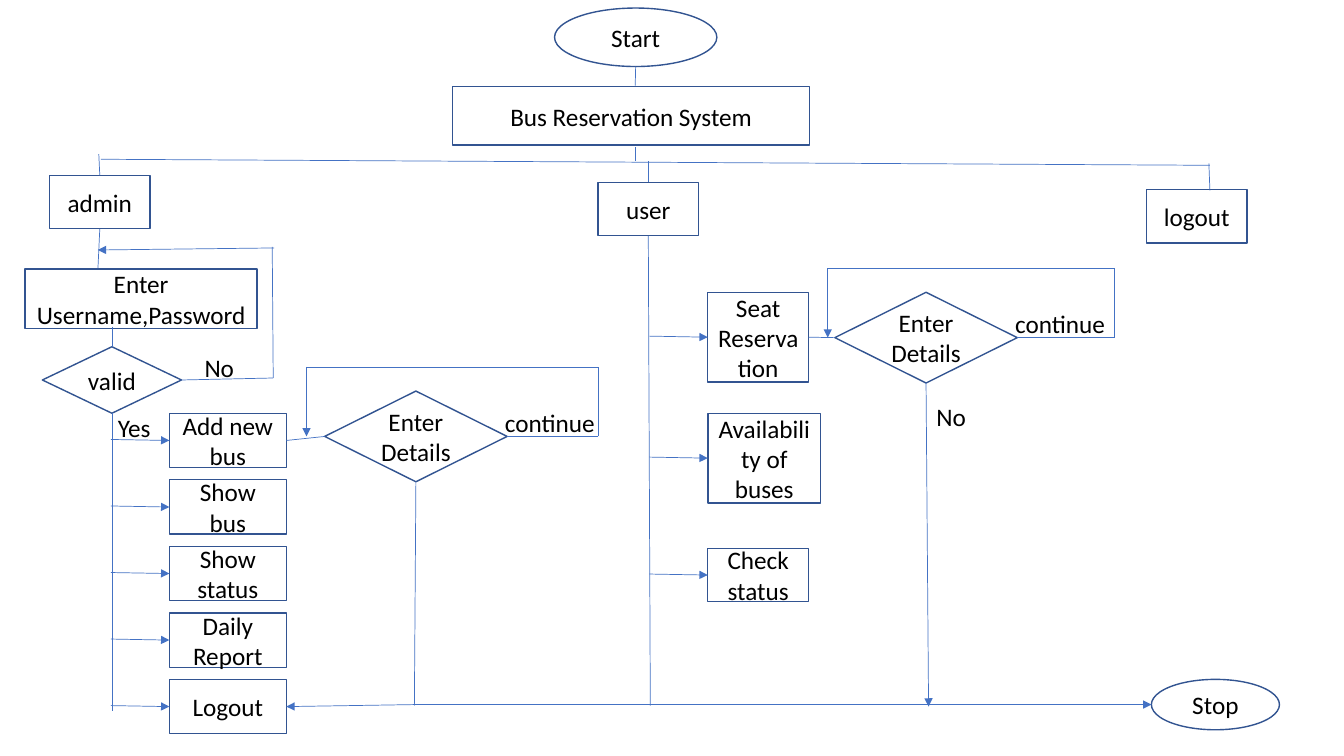
import dataclasses

import pptx
import pptx.dml.color
import pptx.enum.shapes
import pptx.enum.text
import pptx.oxml.ns
import pptx.util
from lxml import etree

Inches = pptx.util.Inches
SHAPE = pptx.enum.shapes.MSO_SHAPE
ALIGN = pptx.enum.text.PP_ALIGN
ANCHOR = pptx.enum.text.MSO_ANCHOR
qn = pptx.oxml.ns.qn
TOP, LEFT, BOTTOM, RIGHT = range(4)


@dataclasses.dataclass(frozen=True)
class Theme:
    """Colours, font and sizes of the flowchart."""
    fill: str = "FFFFFF"
    outline: str = "325491"
    flow: str = "4472C4"
    text: str = "000000"
    font: str = "Calibri"
    size: float = 18
    outline_width: float = 1
    flow_width: float = 0.5


@dataclasses.dataclass(frozen=True)
class Box:
    """A region of the slide, in inches."""
    x: float
    y: float
    w: float
    h: float

    def at(self, dx, dy):
        """Return the point at an offset from the top left corner."""
        return self.x + dx, self.y + dy

    def sub(self, dx, dy, w, h):
        """Return a box at an offset from the top left corner."""
        return Box(self.x + dx, self.y + dy, w, h)

    def emu(self):
        """Return left, top, width and height as lengths."""
        return [Inches(v) for v in (self.x, self.y, self.w, self.h)]


THEME = Theme()


def rgb(value):
    """Turn a hex string into a colour."""
    return pptx.dml.color.RGBColor.from_string(value)


def write(sp, text, align):
    """Add one run of text to a shape."""
    tf = sp.text_frame
    tf.word_wrap = True
    p = tf.paragraphs[0]
    p.alignment = align
    r = p.add_run()
    r.text = text
    r.font.name = THEME.font
    r.font.size = pptx.util.Pt(THEME.size)
    r.font.color.rgb = rgb(THEME.text)


def node(s, box, text, kind=SHAPE.RECTANGLE):
    """Add an outlined flowchart node with centred text."""
    sp = s.shapes.add_shape(kind, *box.emu())
    sp.shadow.inherit = False
    sp.fill.solid()
    sp.fill.fore_color.rgb = rgb(THEME.fill)
    sp.line.color.rgb = rgb(THEME.outline)
    sp.line.width = pptx.util.Pt(THEME.outline_width)
    sp.text_frame.vertical_anchor = ANCHOR.MIDDLE
    write(sp, text, ALIGN.CENTER)
    return sp


def label(s, box, text):
    """Add a plain label beside a flow line."""
    write(s.shapes.add_textbox(*box.emu()), text, ALIGN.LEFT)


def flow(s, start, end, arrow=False):
    """Draw a line between two ends, each a point or a (shape, side) pair."""
    joined = [hasattr(e[0], "shape_id") for e in (start, end)]
    points = [(0, 0) if j else e for j, e in zip(joined, (start, end))]
    c = s.shapes.add_connector(pptx.enum.shapes.MSO_CONNECTOR.STRAIGHT,
                               *[Inches(v) for point in points for v in point])
    if joined[0]:
        c.begin_connect(*start)
    if joined[1]:
        c.end_connect(*end)
    c.line.color.rgb = rgb(THEME.flow)
    c.line.width = pptx.util.Pt(THEME.flow_width)
    spPr = c.element.spPr
    if arrow:
        etree.SubElement(spPr.find(qn("a:ln")), qn("a:tailEnd"), type="triangle")
    etree.SubElement(spPr, qn("a:effectLst"))


def header(s, box):
    """Draw the start, the system and its three roles; return the role nodes."""
    start = node(s, box.sub(5.01, 0, 1.61, 0.58), "Start", SHAPE.OVAL)
    node(s, box.sub(4, 0.78, 3.54, 0.58), "Bus Reservation System")
    flow(s, (start, BOTTOM), box.at(5.81, 0.77))
    flow(s, box.at(5.81, 1.38), box.at(5.81, 1.52))
    flow(s, box.at(0.51, 1.5), box.at(11.51, 1.56))
    admin, user, logout = [
        node(s, box.sub(5.44 * i, 1.66 + 0.07 * i, 1, 0.53), role)
        for i, role in enumerate(("admin", "user", "logout"))]
    flow(s, box.at(0.49, 1.45), (admin, TOP))
    flow(s, box.at(5.94, 1.52), (user, TOP))
    flow(s, box.at(11.5, 1.54), box.at(11.51, 1.81))
    return admin, user


def details_loop(s, box, gap, source):
    """Draw the details decision with its continue loop; return the decision."""
    details = node(s, box.sub(gap, 0.24, 1.81, 0.9), "Enter Details", SHAPE.DIAMOND)
    flow(s, (source, RIGHT), (details, LEFT))
    flow(s, (details, RIGHT), box.at(box.w, box.h))
    flow(s, box.at(box.w, box.h), box.at(box.w, 0))
    flow(s, box.at(box.w, 0), box.at(0, 0))
    flow(s, box.at(0, 0), box.at(0, box.h), arrow=True)
    label(s, box.sub(gap + 1.69, 0.35, 1.19, 0.4), "continue")
    return details


def admin_branch(s, box, admin):
    """Draw the login check and admin menu; return the decision and logout."""
    flow(s, (admin, BOTTOM), box.at(0.72, 0.43))
    node(s, box.sub(0, 0.4, 2.3, 0.59), "Enter Username,Password")
    valid = node(s, box.sub(0.17, 1.17, 1.38, 0.66), "valid", SHAPE.DIAMOND)
    flow(s, box.at(0.86, 0.97), (valid, TOP))
    flow(s, (valid, RIGHT), box.at(2.46, 1.48))
    flow(s, box.at(2.46, 1.48), box.at(2.45, 0.18))
    flow(s, box.at(2.47, 0.19), box.at(0.72, 0.21), arrow=True)
    flow(s, (valid, BOTTOM), box.at(0.86, 4.78))
    items = []
    for i, text in enumerate(("Add new bus", "Show bus", "Show status",
                              "Daily Report", "Logout")):
        row = box.sub(1.43, 1.83 + 0.66 * i, 1.16, 0.54)
        items.append(node(s, row, text))
        flow(s, (box.x + 0.85, row.y + row.h / 2 - 0.01), (items[-1], LEFT), arrow=True)
    label(s, box.sub(1.68, 1.18, 0.62, 0.4), "No")
    label(s, box.sub(0.82, 1.77, 0.6, 0.4), "Yes")
    details = details_loop(s, box.sub(2.79, 1.37, 2.89, 0.69), 0.18, items[0])
    return details, items[-1]


def user_branch(s, box, user):
    """Draw the user menu and the reservation details."""
    flow(s, (user, BOTTOM), box.at(0.01, 4.66))
    items = []
    for text, dy, w, h in (("Seat Reservation", 0.56, 1, 0.89),
                           ("Availability of buses", 1.76, 1.12, 0.89),
                           ("Check status", 3.1, 1, 0.53)):
        items.append(node(s, box.sub(0.58, dy, w, h), text))
        flow(s, box.at(0, dy + h / 2 - 0.01), (items[-1], LEFT), arrow=True)
    details = details_loop(s, box.sub(1.77, 0.32, 2.84, 0.69), 0.07, items[0])
    flow(s, (details, BOTTOM), box.at(2.77, box.h), arrow=True)
    label(s, box.sub(2.75, 1.59, 0.67, 0.4), "No")


def finish(s, box, details, logout):
    """Draw the closing line from the admin details to logout and stop."""
    stop = node(s, box.sub(box.w - 1.27, 0, 1.27, box.h), "Stop", SHAPE.OVAL)
    flow(s, (details, BOTTOM), box.at(-0.01, 0.26))
    flow(s, box.at(0, 0.25), (logout, RIGHT), arrow=True)
    flow(s, box.at(0, 0.25), (stop, LEFT), arrow=True)


def main():
    """Build the flowchart slide."""
    prs = pptx.Presentation()
    prs.slide_width, prs.slide_height = Inches(13.33), Inches(7.5)
    s = prs.slides.add_slide(prs.slide_layouts[6])
    admin, user = header(s, Box(0.49, 0.08, 11.88, 2.33))
    details, logout = admin_branch(s, Box(0.25, 2.27, 5.85, 5), admin)
    user_branch(s, Box(6.44, 2.34, 4.72, 4.67), user)
    finish(s, Box(4.12, 6.74, 8.57, 0.5), details, logout)
    prs.save("out.pptx")


if __name__ == "__main__":
    main()
